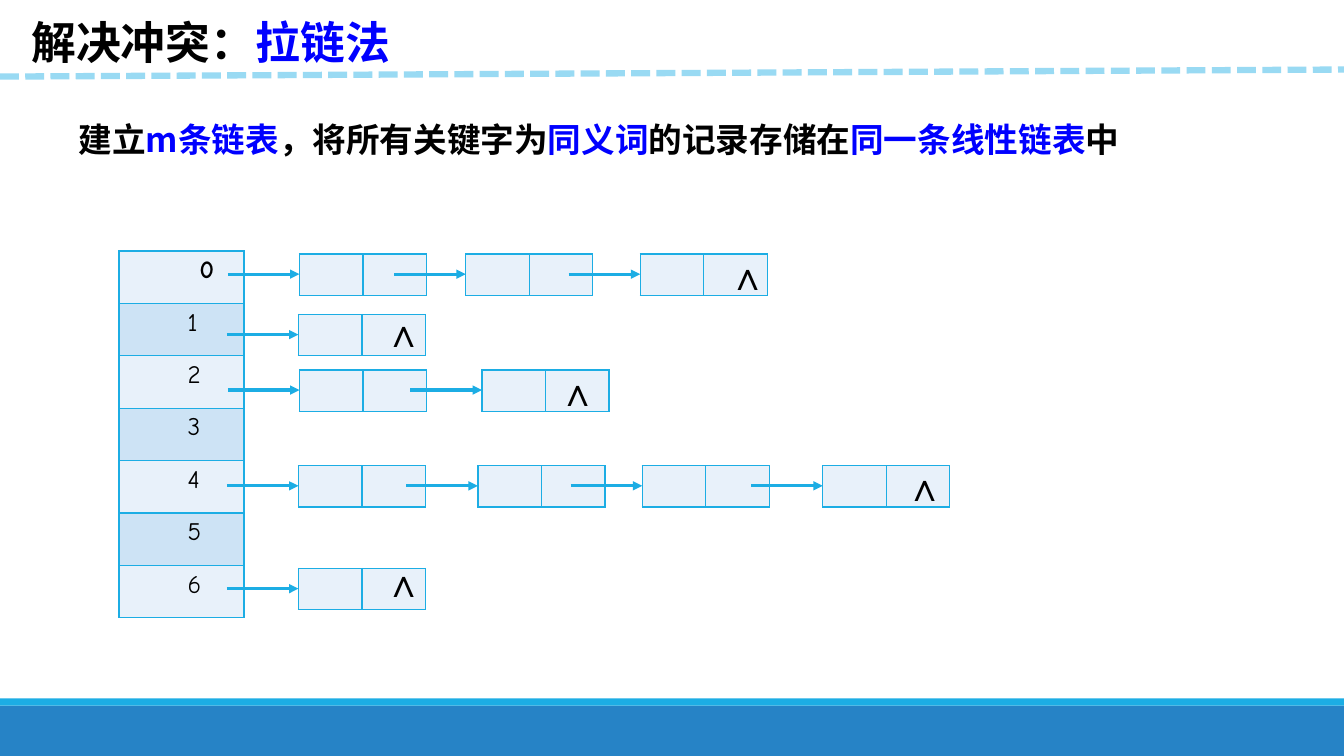
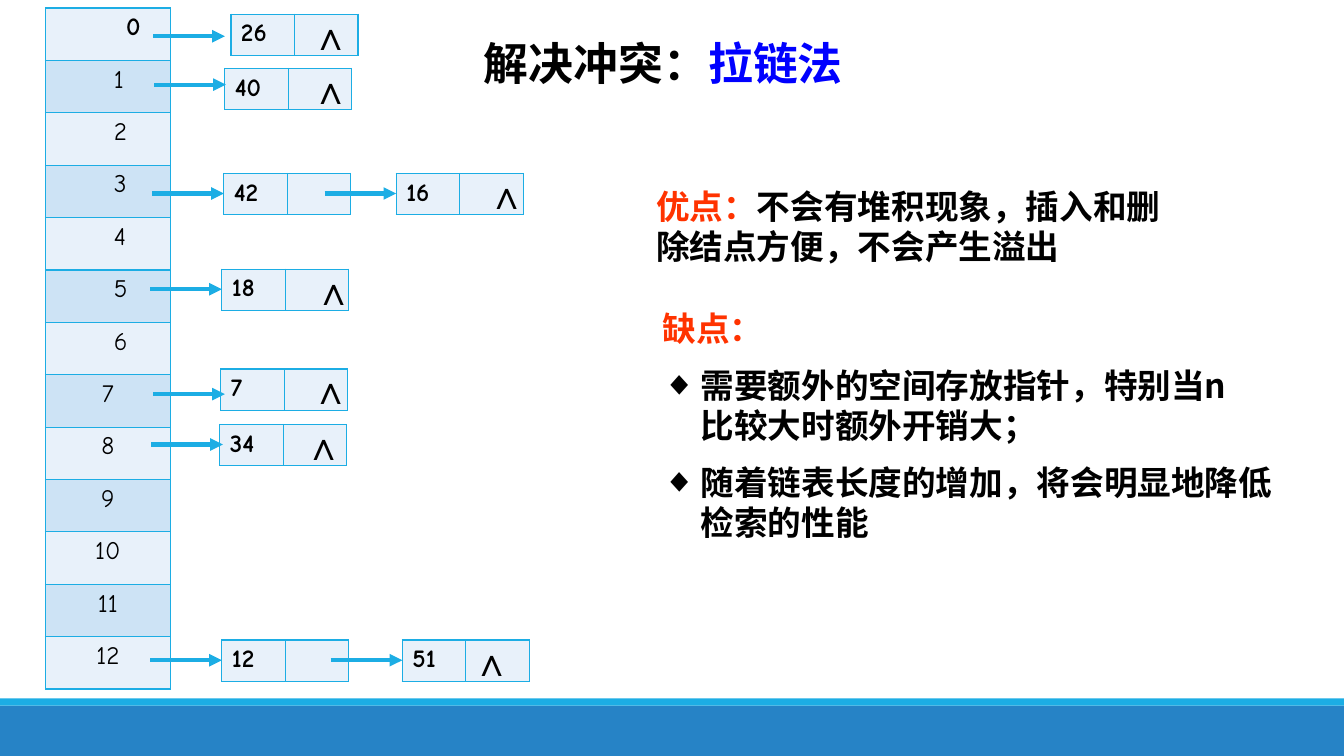
"""Build two slides on separate chaining in hash tables."""
from lxml.etree import SubElement
from pptx import Presentation
from pptx.dml.color import RGBColor
from pptx.enum.dml import MSO_LINE as Dash
from pptx.enum.shapes import MSO_CONNECTOR as Conn, MSO_SHAPE as Form
from pptx.enum.text import MSO_ANCHOR as Anchor, MSO_AUTO_SIZE as Auto, PP_ALIGN as Align
from pptx.oxml.ns import qn
from pptx.util import Inches, Pt

HUES = {
    "black": "000000", "blue": "0000FF", "red": "FF3300", "line": "1CADE4",
    "band": "2683C6", "dash": "99DAF3", "pale": "E8F1FA", "tint": "CDE3F5",
}
SANS, COMIC, SERIF = "Noto Sans CJK SC", "Comic Neue", "Times New Roman"
ROW, HALF, HIGH, REACH = 0.52, 0.63, 0.41, 0.71
TIP = (0, 0.2)

TITLE = [("解决冲突：", "black"), ("拉链法", "blue")]
IDEA = [
    ("建立", "black"), ("m条链表", "blue"), ("，将所有关键字为", "black"),
    ("同义词", "blue"), ("的记录存储在", "black"),
    ("同一条线性链表", "blue"), ("中", "black"),
]
PRO = [("优点：", "red"), ("不会有堆积现象，插入和删除结点方便，不会产生溢出", "black")]
CONS = [
    [("缺点：", "red")],
    [("需要额外的空间存放指针，特别当n\v比较大时额外开销大；", "black")],
    [("随着链表长度的增加，将会明显地降低检索的性能", "black")],
]

# Each node: left, top, key, offset of its end mark, offset of its arrow tip.
EMPTY = [
    (2.97, 2.52, "", None, TIP), (4.62, 2.52, "", None, TIP),
    (6.35, 2.52, "", (0.78, -0.08), TIP),
    (2.96, 3.12, "", (0.76, -0.11), TIP),
    (2.97, 3.67, "", None, TIP), (4.78, 3.67, "", (0.66, -0.08), TIP),
    (2.96, 4.62, "", None, TIP), (4.74, 4.62, "", None, TIP),
    (6.37, 4.62, "", None, TIP), (8.16, 4.62, "", (0.72, -0.08), TIP),
    (2.96, 5.64, "", (0.76, -0.15), TIP),
]
KEYED = [
    (2.29, 0.14, "26", (0.7, -0.08), (-0.06, 0.22)),
    (2.23, 0.68, "40", (0.76, -0.08), (0.01, 0.16)),
    (2.22, 1.72, "42", None, TIP), (3.93, 1.72, "16", (0.81, -0.08), TIP),
    (2.2, 2.67, "18", (0.82, -0.08), TIP),
    (2.19, 3.66, "7", (0.8, -0.08), (0.04, 0.25)),
    (2.18, 4.21, "34", (0.74, -0.08), (0.03, 0.2)),
    (2.2, 6.35, "12", None, TIP), (3.99, 6.35, "51", (0.6, -0.08), TIP),
]


def hue(name):
    return RGBColor.from_string(HUES[name])


def style(para, face, size, bold=True):
    font = para.font
    font.name, font.size, font.bold = face, Pt(size), bold
    font.color.rgb = hue("black")


def put(shape, box, paras, size=24, face=SANS, lead=1.2):
    shape.left, shape.top, shape.width, shape.height = map(Inches, box)
    frame = shape.text_frame
    frame.word_wrap, frame.auto_size = True, Auto.NONE
    frame.vertical_anchor = Anchor.TOP
    for i, runs in enumerate(paras):
        para = frame.add_paragraph() if i else frame.paragraphs[0]
        props = para._p.get_or_add_pPr()
        indent = Inches(0.38) if i else 0
        props.set("marL", str(indent))
        props.set("indent", str(-indent))
        if i:
            SubElement(props, qn("a:buChar")).set("char", "◆")
        else:
            SubElement(props, qn("a:buNone"))
        para.alignment = Align.LEFT
        para.space_before = Pt(12 if i else 0)
        if lead:
            para.line_spacing = Pt(size * lead)
        style(para, face, size)
        SubElement(props.find(qn("a:defRPr")), qn("a:ea")).set("typeface", face)
        for text, tone in runs:
            start = len(para.runs)
            for j, part in enumerate(text.split("\v")):
                if j:
                    para.add_line_break()
                para.add_run().text = part
            for run in para.runs[start:]:
                run.font.color.rgb = hue(tone)


def rule(slide, start, end, tone, width):
    line = slide.shapes.add_connector(Conn.STRAIGHT, *map(Inches, (*start, *end)))
    line.line.color.rgb, line.line.width = hue(tone), Pt(width)
    SubElement(line._element.spPr, qn("a:effectLst"))
    return line


def paint(cell, tone):
    cell.fill.solid()
    cell.fill.fore_color.rgb = hue(tone)
    props = cell._tc.get_or_add_tcPr()
    for i, side in enumerate("LRTB"):
        edge = SubElement(props, qn(f"a:ln{side}"), w=str(Pt(1)))
        fill = SubElement(edge, qn("a:solidFill"))
        SubElement(fill, qn("a:srgbClr")).set("val", HUES["line"])
        props.insert(i, edge)


def grid(slide, rows, cols, box):
    table = slide.shapes.add_table(rows, cols, *map(Inches, box)).table
    table.first_row = table.horz_banding = False
    return table


def index(slide, left, top, count):
    table = grid(slide, count, 1, (left, top, 1.24, ROW * count))
    for i in range(count):
        cell = table.cell(i, 0)
        paint(cell, "tint" if i % 2 else "pale")
        cell.text = str(i)
        para = cell.text_frame.paragraphs[0]
        style(para, COMIC, 18, i == 0)
        if i > 6:
            para.alignment = Align.CENTER
        else:
            cell.margin_left = Inches(0.68 if i else 0.8)


def chain(slide, nodes, width):
    for left, top, key, mark, tip in nodes:
        table = grid(slide, 1, 2, (left, top, HALF * 2, HIGH))
        for cell in table.iter_cells():
            paint(cell, "pale")
        if key:
            table.cell(0, 0).text = key
            style(table.cell(0, 0).text_frame.paragraphs[0], COMIC, 18)
    for left, top, key, mark, tip in nodes:
        x, y = left + tip[0], top + tip[1]
        arrow = rule(slide, (x - REACH, y), (x, y), "line", width)
        ln = arrow._element.spPr.find(qn("a:ln"))
        SubElement(ln, qn("a:tailEnd")).set("type", "triangle")
        if mark:
            box = (left + mark[0], top + mark[1], 0.5, 0.57)
            note = slide.shapes.add_textbox(0, 0, 0, 0)
            put(note, box, [[("∧", "black")]], 28, SERIF, None)


def bands(deck, slide):
    tree = deck.slide_master.shapes._spTree
    for i, (top, high, tone) in enumerate([(7, 0.5, "band"), (6.93, 0.07, "line")]):
        band = slide.shapes.add_shape(
            Form.RECTANGLE, 0, Inches(top), deck.slide_width, Inches(high))
        band.shadow.inherit = False
        band.fill.solid()
        band.fill.fore_color.rgb = hue(tone)
        band.line.fill.background()
        tree.insert(2 + i, band._element)


def page(deck, spot, box, paras):
    slide = deck.slides.add_slide(deck.slide_layouts[1])
    put(slide.shapes.title, spot, [TITLE], 32)
    put(slide.placeholders[1], box, paras)
    return slide


def main():
    deck = Presentation()
    deck.slide_width, deck.slide_height = Inches(13.33), Inches(7.5)

    idea = page(deck, (0.21, 0.1, 4.41, 0.64), (0.68, 1.13, 11.2, 0.51), [IDEA])
    bands(deck, idea)
    dash = rule(idea, (0, 0.76), (13.33, 0.69), "dash", 4.5)
    dash.line.dash_style = Dash.SQUARE_DOT
    index(idea, 1.18, 2.49, 7)
    chain(idea, EMPTY, 2.25)

    case = page(deck, (4.7, 0.3, 3.94, 0.64), (6.47, 3, 6.4, 2.52), CONS)
    index(case, 0.45, 0.08, 13)
    chain(case, KEYED, 3)
    put(case.shapes.add_textbox(0, 0, 0, 0), (6.41, 1.79, 5.34, 0.91), [PRO])

    deck.save("out.pptx")


if __name__ == "__main__":
    main()
